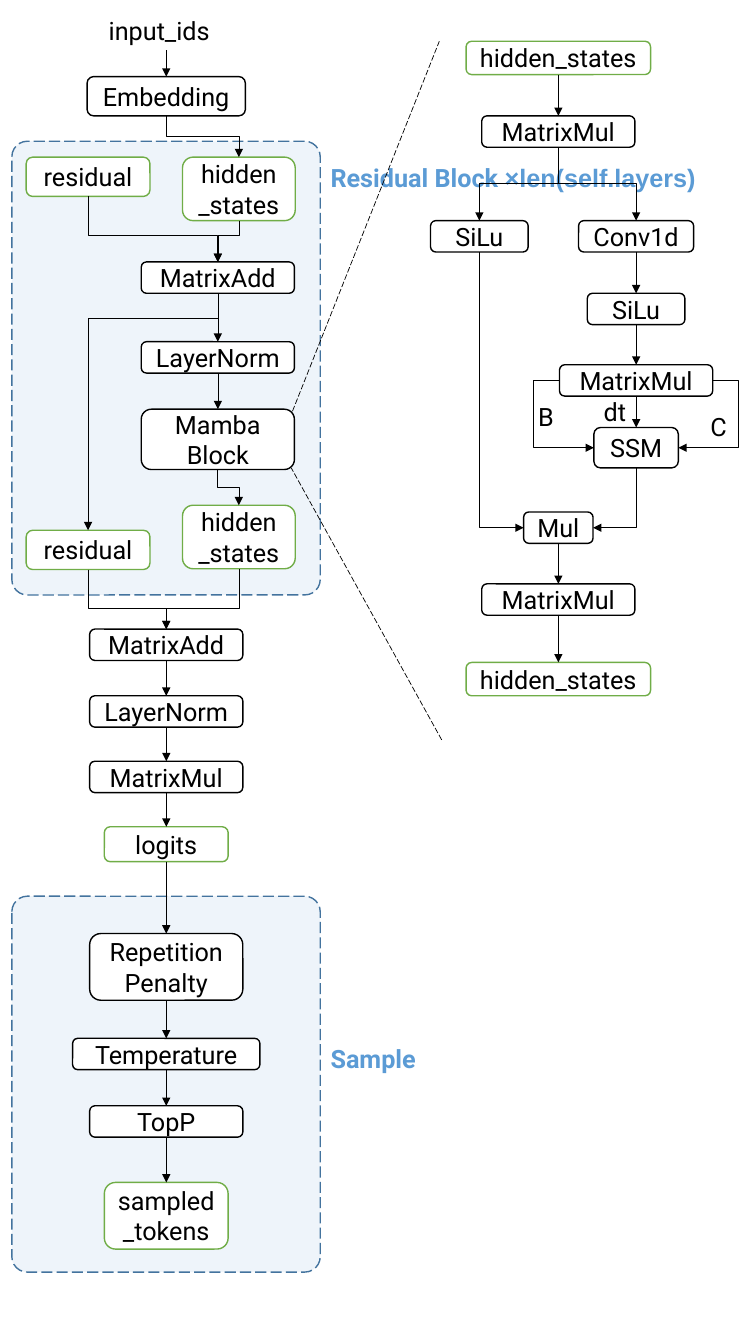
from lxml import etree
from pptx import Presentation
from pptx.dml.color import RGBColor
from pptx.enum.dml import MSO_LINE
from pptx.enum.shapes import MSO_CONNECTOR, MSO_SHAPE
from pptx.enum.text import MSO_ANCHOR, PP_ALIGN
from pptx.oxml.ns import qn
from pptx.util import Cm, Pt

ROUNDED = MSO_SHAPE.ROUNDED_RECTANGLE
STRAIGHT, ELBOW = MSO_CONNECTOR.STRAIGHT, MSO_CONNECTOR.ELBOW
LONG_DASH = MSO_LINE.LONG_DASH
CENTER, LEFT, MIDDLE = PP_ALIGN.CENTER, PP_ALIGN.LEFT, MSO_ANCHOR.MIDDLE
TOP_SITE, LEFT_SITE, BOTTOM_SITE, RIGHT_SITE = range(4)

FONT, LABEL_FONT = "Roboto", "Arial"
COLORS = {"op": "000000", "state": "70AD47", "box": "FFFFFF", "text": "000000",
          "panel": "BDD7EE", "panel_line": "43739E", "label": "5B9BD5"}

# Column centres and usual box sizes, in cm
MAIN, RESIDUAL, INNER, HIDDEN = 4.19, 2.22, 5.49, 6.02
MAMBA, GATE, SCAN = 14.07, 12.08, 16.03
OP_W, OP_H = 3.86, 0.79

# top, height
PANELS = [(22.58, 9.47), (3.56, 11.43)]
PANEL_LEFT, PANEL_W = 0.3, 7.77

# name: (text, kind, centre, top, width, height)
NODES = {
    "embedding": ("Embedding", "op", MAIN, 1.93, 3.99, 0.99),
    "residual_in": ("residual", "state", RESIDUAL, 3.96, 3.12, 0.99),
    "hidden_in": ("hidden_states", "state", HIDDEN, 3.96, 2.84, 1.6),
    "block_add": ("MatrixAdd", "op", INNER, 6.6, OP_W, OP_H),
    "block_norm": ("LayerNorm", "op", INNER, 8.61, OP_W, OP_H),
    "mamba": ("Mamba\nBlock", "op", INNER, 10.31, OP_W, 1.52),
    "residual_out": ("residual", "state", RESIDUAL, 13.36, 3.12, 0.99),
    "hidden_out": ("hidden_states", "state", HIDDEN, 12.73, 2.84, 1.6),
    "final_add": ("MatrixAdd", "op", MAIN, 15.85, OP_W, OP_H),
    "final_norm": ("LayerNorm", "op", MAIN, 17.53, OP_W, OP_H),
    "final_mul": ("MatrixMul", "op", MAIN, 19.18, OP_W, OP_H),
    "logits": ("logits", "state", MAIN, 20.83, 3.12, 0.88),
    "penalty": ("Repetition\nPenalty", "op", MAIN, 23.52, OP_W, 1.68),
    "temperature": ("Temperature", "op", MAIN, 26.16, 4.72, OP_H),
    "top_p": ("TopP", "op", MAIN, 27.86, OP_W, OP_H),
    "tokens": ("sampled_tokens", "state", MAIN, 29.79, 3.12, 1.68),
    "mamba_in": ("hidden_states", "state", MAMBA, 1.04, 4.65, 0.84),
    "in_mul": ("MatrixMul", "op", MAMBA, 2.92, OP_W, OP_H),
    "gate_silu": ("SiLu", "op", GATE, 5.56, 2.46, OP_H),
    "conv": ("Conv1d", "op", SCAN, 5.56, 2.9, OP_H),
    "scan_silu": ("SiLu", "op", SCAN, 7.39, 2.46, OP_H),
    "scan_mul": ("MatrixMul", "op", SCAN, 9.19, OP_W, OP_H),
    "ssm": ("SSM", "op", SCAN, 10.77, 2.13, 1.02),
    "gate_mul": ("Mul", "op", MAMBA, 12.9, 1.75, OP_H),
    "out_mul": ("MatrixMul", "op", MAMBA, 14.71, OP_W, OP_H),
    "mamba_out": ("hidden_states", "state", MAMBA, 16.69, 4.65, 0.84),
}
CHAINS = [
    ("input_ids", "embedding"),
    ("block_add", "block_norm", "mamba"),
    ("final_add", "final_norm", "final_mul", "logits", "penalty", "temperature",
     "top_p", "tokens"),
    ("mamba_in", "in_mul"),
    ("conv", "scan_silu", "scan_mul", "ssm"),
    ("gate_mul", "out_mul", "mamba_out"),
]
# from, to, height of the bend
BENDS = [
    ("embedding", "hidden_in", 3.44),
    ("hidden_in", "block_add", 5.92),
    ("residual_in", "block_add", 5.92),
    ("block_add", "residual_out", 8.03),
    ("mamba", "hidden_out", 12.27),
    ("residual_out", "final_add", 15.34),
    ("hidden_out", "final_add", 15.34),
    ("in_mul", "gate_silu", 4.63),
    ("in_mul", "conv", 4.63),
]
CORNERS = [("gate_silu", "gate_mul", LEFT_SITE), ("ssm", "gate_mul", RIGHT_SITE)]
SIDE_SITES = [LEFT_SITE, RIGHT_SITE]
SIDE_REACH = 0.66
ZOOM_LINES = [(7.37, 10.36, 11.07, 1.04), (11.13, 18.64, 7.34, 11.79)]
# runs with their fonts, left, top, width
BLOCK_LABELS = [
    ([("Residual Block ", FONT), ("×len(self.layers)", LABEL_FONT)], 8.08, 3.96, 9.91),
    ([("Sample", FONT)], 8.08, 26.16, 2.7),
]
# text, left, top, width
EDGE_LABELS = [("B", 13.31, 9.98, 0.91), ("C", 17.65, 10.24, 0.89),
               ("dt", 14.96, 9.86, 1.14)]


def rgb(name):
    return RGBColor.from_string(COLORS[name])


def add_box(left, top, w, h, fill, line):
    sp = shapes.add_shape(ROUNDED, Cm(left), Cm(top), Cm(w), Cm(h))
    sp.shadow.inherit = False
    sp.fill.solid()
    sp.fill.fore_color.rgb = rgb(fill)
    sp.line.color.rgb = rgb(line)
    sp.line.width = Pt(1)
    return sp


def write(sp, runs, color="text", align=LEFT, bold=False):
    """Fill a shape with (text, font) runs; a line feed starts a paragraph."""
    tf = sp.text_frame
    if len(runs) == 1:
        tf.text = runs[0][0]
    else:
        for text, font in runs:
            r = tf.paragraphs[0].add_run()
            r.text, r.font.name = text, font
    for p in tf.paragraphs:
        p.alignment = align
        p.font.size, p.font.bold = Pt(18), bold
        p.font.name = runs[0][1]
        p.font.color.rgb = rgb(color)


def add_text(runs, left, top, w, **style):
    sp = shapes.add_textbox(Cm(left), Cm(top), Cm(w), Cm(1.02))
    sp.text_frame.word_wrap = False
    write(sp, runs, **style)
    return sp


def add_line(kind, x1, y1, x2, y2, arrow=True):
    c = shapes.add_connector(kind, x1, y1, x2, y2)
    c.line.color.rgb = rgb("op")
    c.line.width = Pt(0.5)
    if arrow:
        etree.SubElement(c.line._get_or_add_ln(), qn("a:tailEnd"), type="triangle")
    etree.SubElement(c.element.spPr, qn("a:effectLst"))
    return c


def link(kind, start, start_site, end, end_site):
    c = add_line(kind, 0, 0, 0, 0)
    c.begin_connect(nodes[start], start_site)
    c.end_connect(nodes[end], end_site)
    return c


def set_bend(c, ratio):
    guides = c.element.spPr.find(qn("a:prstGeom")).get_or_add_avLst()
    etree.SubElement(guides, qn("a:gd"), name="adj1", fmla=f"val {round(ratio * 100000)}")


def leave_downwards(c):
    """Turn an elbow by 90 degrees so that its first leg runs down."""
    x1, y1, x2, y2 = c.begin_x, c.begin_y, c.end_x, c.end_y
    w, h = y2 - y1, abs(x2 - x1)
    c.left, c.top = (x1 + x2 - w) // 2, (y1 + y2 - h) // 2
    c.width, c.height = w, h
    xfrm = c.element.spPr.find(qn("a:xfrm"))
    xfrm.attrib.pop("flipH", None)
    xfrm.set("rot", "5400000")
    if x2 > x1:
        xfrm.set("flipV", "1")


prs = Presentation()
prs.slide_width, prs.slide_height = Cm(19.05), Cm(33.86)
shapes = prs.slides.add_slide(prs.slide_layouts[6]).shapes

for top, h in PANELS:
    panel = add_box(PANEL_LEFT, top, PANEL_W, h, "panel", "panel_line")
    panel.adjustments[0] = 0.05
    panel.line.dash_style = LONG_DASH
    fill_color = panel.element.spPr.find(qn("a:solidFill"))[0]
    etree.SubElement(fill_color, qn("a:alpha"), val="25000")

for runs, *place in BLOCK_LABELS:
    add_text(runs, *place, color="label", bold=True)

nodes = {"input_ids": add_text([("input_ids", FONT)], 2.49, 0.25, 3.4)}
for name, (text, kind, centre, top, w, h) in NODES.items():
    nodes[name] = add_box(centre - w / 2, top, w, h, "box", kind)
    nodes[name].text_frame.vertical_anchor = MIDDLE
    write(nodes[name], [(text, FONT)], align=CENTER)

for chain in CHAINS:
    for start, end in zip(chain, chain[1:]):
        link(STRAIGHT, start, BOTTOM_SITE, end, TOP_SITE)

for start, end, bend in BENDS:
    c = link(ELBOW, start, BOTTOM_SITE, end, TOP_SITE)
    set_bend(c, (Cm(bend) - c.begin_y) / (c.end_y - c.begin_y))
    leave_downwards(c)

for start, end, site in CORNERS:
    c = link(ELBOW, start, BOTTOM_SITE, end, site)
    c.element.spPr.find(qn("a:prstGeom")).set("prst", "bentConnector2")
    leave_downwards(c)

for site in SIDE_SITES:
    c = link(ELBOW, "scan_mul", site, "ssm", site)
    set_bend(c, -Cm(SIDE_REACH) / abs(c.end_x - c.begin_x))

for ends in ZOOM_LINES:
    add_line(STRAIGHT, *map(Cm, ends), arrow=False).line.dash_style = LONG_DASH

for text, *place in EDGE_LABELS:
    add_text([(text, FONT)], *place)

prs.save("out.pptx")
